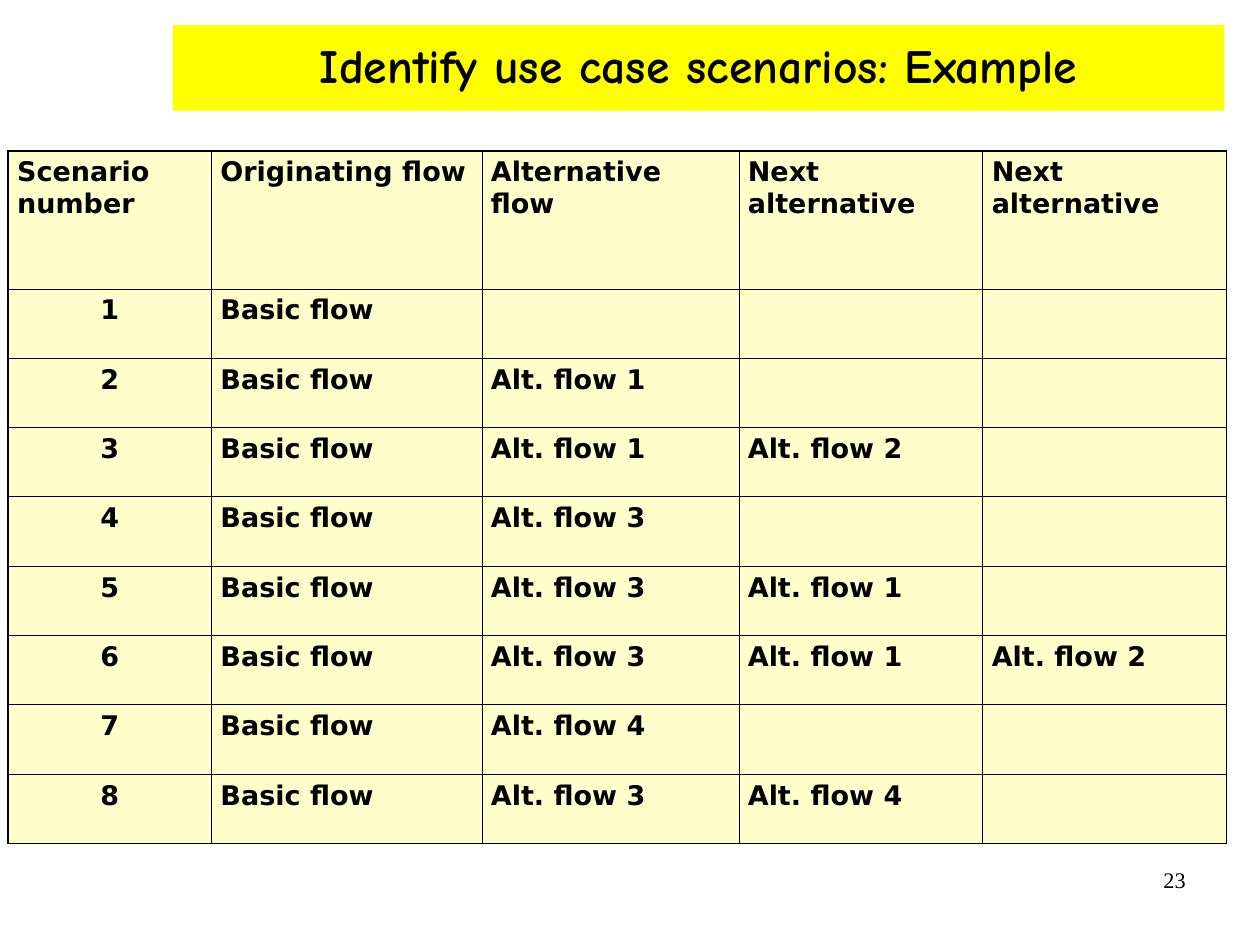
from lxml import etree
from pptx import Presentation
from pptx.dml.color import RGBColor
from pptx.enum.text import MSO_ANCHOR, PP_ALIGN
from pptx.oxml.ns import qn
from pptx.util import Cm, Pt

CENTER, LEFT, RIGHT = PP_ALIGN.CENTER, PP_ALIGN.LEFT, PP_ALIGN.RIGHT
MIDDLE = MSO_ANCHOR.MIDDLE
TITLE_ONLY = 5

COLORS = {"ink": "000000", "banner": "FFFF00", "cell": "FFFFCC"}
OUTER_LINE, INNER_LINE = Pt(1.08), Pt(0.45)

HEADINGS = ["Scenario number", "Originating flow", "Alternative flow",
            "Next alternative", "Next alternative"]
# Alternative flows taken in each scenario, in order
SCENARIOS = [[], [1], [1, 2], [3], [3, 1], [3, 1, 2], [4], [3, 4]]
COLUMN_WIDTHS = [4.52, 6.01, 5.71, 5.42, 5.42]
HEADER_HEIGHT, ROW_HEIGHT = 3.07, 1.54


def color(name):
    return RGBColor.from_string(COLORS[name])


def style(para, font_name, size, bold, align):
    para.alignment = align
    para.font.name = font_name
    para.font.size = Pt(size)
    para.font.bold = bold
    para.font.color.rgb = color("ink")


def set_margins(target, horizontal, vertical):
    target.margin_left = target.margin_right = Cm(horizontal)
    target.margin_top = target.margin_bottom = Cm(vertical)


def add_title(page, left, top, width, height):
    title = page.shapes.title
    title.left, title.top = Cm(left), Cm(top)
    title.width, title.height = Cm(width), Cm(height)
    title.fill.solid()
    title.fill.fore_color.rgb = color("banner")
    frame = title.text_frame
    frame.text = "Identify use case scenarios: Example"
    frame.vertical_anchor = MIDDLE
    set_margins(frame, 0, 0)
    para = frame.paragraphs[0]
    para.line_spacing = 0.88
    style(para, "Comic Neue", 30, True, CENTER)


def set_borders(cell, widths):
    """Draw the left, right, top and bottom borders; they must precede the fill."""
    properties = cell._tc.get_or_add_tcPr()
    for position, (side, width) in enumerate(zip("LRTB", widths)):
        line = etree.Element(qn(f"a:ln{side}"), w=str(int(width)))
        fill = etree.SubElement(line, qn("a:solidFill"))
        etree.SubElement(fill, qn("a:srgbClr"), val=COLORS["ink"])
        properties.insert(position, line)


def add_scenario_table(page, left, top):
    rows = [HEADINGS]
    for number, flows in enumerate(SCENARIOS, start=1):
        alternatives = [f"Alt. flow {flow}" for flow in flows]
        row = [str(number), "Basic flow"] + alternatives
        rows.append(row + [""] * (len(HEADINGS) - len(row)))

    heights = [HEADER_HEIGHT] + [ROW_HEIGHT] * len(SCENARIOS)
    table = page.shapes.add_table(
        len(rows), len(HEADINGS), Cm(left), Cm(top),
        Cm(sum(COLUMN_WIDTHS)), Cm(sum(heights))).table
    table.horz_banding = False
    for column, width in zip(table.columns, COLUMN_WIDTHS):
        column.width = Cm(width)
    for table_row, height in zip(table.rows, heights):
        table_row.height = Cm(height)

    last_row, last_column = len(rows) - 1, len(HEADINGS) - 1
    for r, row in enumerate(rows):
        for c, text in enumerate(row):
            cell = table.cell(r, c)
            cell.text = text
            set_margins(cell, 0.2, 0.13)
            cell.fill.solid()
            cell.fill.fore_color.rgb = color("cell")
            on_edge = (c == 0, c == last_column, r == 0, r == last_row)
            set_borders(cell, [OUTER_LINE if edge else INNER_LINE for edge in on_edge])
            align = CENTER if r > 0 and c == 0 else LEFT
            style(cell.text_frame.paragraphs[0], "DejaVu Sans", 17, True, align)


def add_page_number(page, left, top, width, height):
    box = page.shapes.add_textbox(Cm(left), Cm(top), Cm(width), Cm(height))
    frame = box.text_frame
    frame.word_wrap = True
    set_margins(frame, 0.25, 0.13)
    frame.text = "23"
    style(frame.paragraphs[0], "Times New Roman", 14, False, RIGHT)


def main():
    deck = Presentation()
    deck.slide_width, deck.slide_height = Cm(28), Cm(21)
    page = deck.slides.add_slide(deck.slide_layouts[TITLE_ONLY])
    add_page_number(page, 20.07, 19.13, 6.53, 1.45)
    add_title(page, 3.84, 0.56, 23.37, 1.9)
    add_scenario_table(page, 0.18, 3.35)
    deck.save("out.pptx")


if __name__ == "__main__":
    main()
